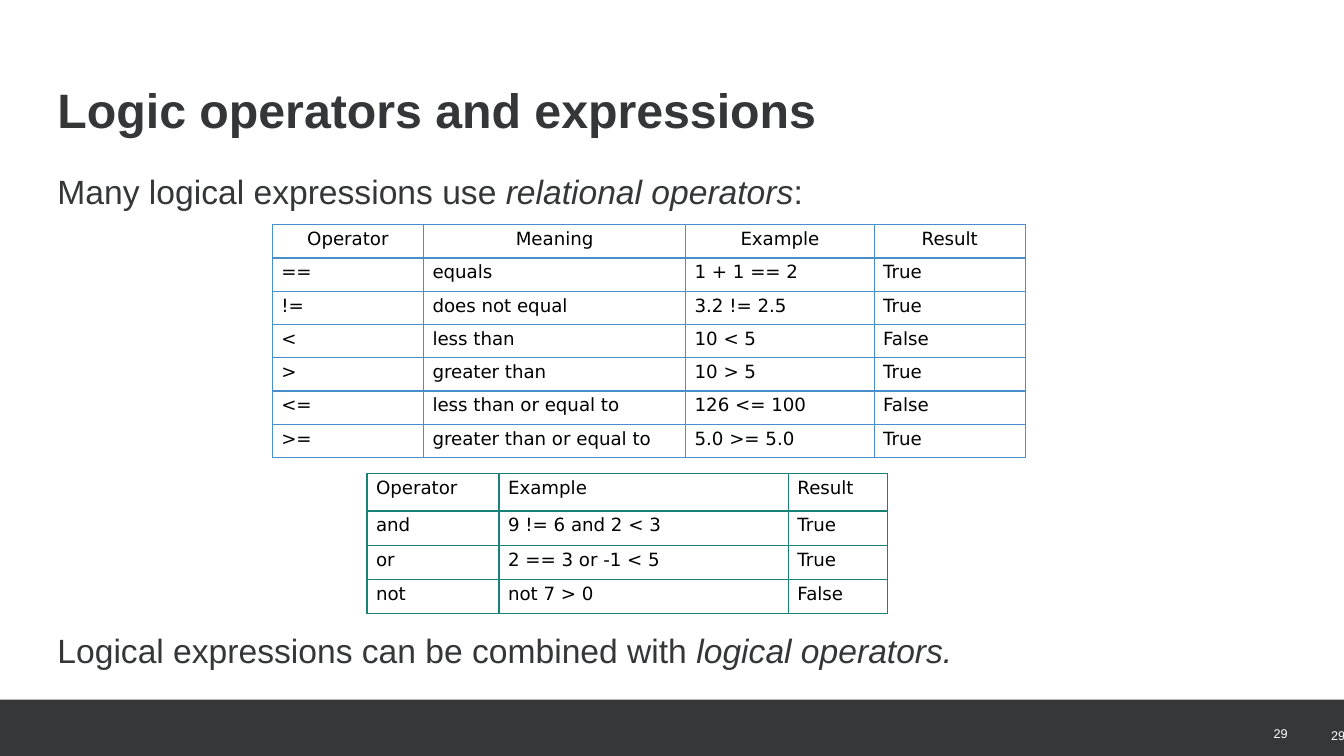
from lxml.etree import SubElement
from pptx import Presentation
from pptx.dml.color import RGBColor
from pptx.enum.shapes import MSO_SHAPE as Shape
from pptx.enum.text import MSO_ANCHOR as Anchor, MSO_AUTO_SIZE as Fit, PP_ALIGN as Align
from pptx.oxml import parse_xml
from pptx.oxml.ns import nsdecls, qn
from pptx.util import Inches, Pt

DARK = RGBColor(0x35, 0x36, 0x37)
BAR = RGBColor(0x36, 0x37, 0x38)
WHITE = RGBColor(0xFF, 0xFF, 0xFF)
BLACK = RGBColor(0, 0, 0)
BLUE = RGBColor(0x48, 0x8E, 0xCB)
TEAL = RGBColor(0x18, 0x81, 0x78)

RELATIONS = [
    ("Operator", "Meaning", "Example", "Result"),
    ("==", "equals", "1 + 1 == 2", "True"),
    ("!=", "does not equal", "3.2 != 2.5", "True"),
    ("<", "less than", "10 < 5", "False"),
    (">", "greater than", "10 > 5", "True"),
    ("<=", "less than or equal to", "126 <= 100", "False"),
    (">=", "greater than or equal to", "5.0 >= 5.0", "True"),
]
LOGIC = [
    ("Operator", "Example", "Result"),
    ("and", "9 != 6 and 2 < 3", "True"),
    ("or", "2 == 3 or -1 < 5", "True"),
    ("not", "not 7 > 0", "False"),
]


class Deck:
    text_font = "Arial"
    cell_font = "DejaVu Sans"

    def __init__(self, slide):
        self.slide = slide

    def style(self, font, size, color, name=None):
        font.name, font.size = name or self.text_font, Pt(size)
        font.color.rgb = color

    def frame(self, shape, left, top, width, height, anchor=Anchor.TOP, inset=0):
        """Place a shape and return its text frame, with only a top inset."""
        shape.left, shape.top = Inches(left), Inches(top)
        shape.width, shape.height = Inches(width), Inches(height)
        frame = shape.text_frame
        frame.margin_left = frame.margin_right = frame.margin_bottom = 0
        frame.margin_top = Inches(inset)
        frame.word_wrap, frame.auto_size = True, Fit.NONE
        frame.vertical_anchor = anchor
        return frame

    def title(self, text):
        frame = self.frame(self.slide.shapes.title, 0.57, 0.92, 10.94, 0.79)
        frame.text = text
        para = frame.paragraphs[0]
        para.alignment, para.line_spacing = Align.LEFT, Pt(32.5)
        self.style(para.runs[0].font, 34.5, DARK)
        para.runs[0].font.bold = True

    def body(self, lines, gap):
        """Write lines of (text, italic) parts, with a gap in points between lines."""
        frame = self.frame(self.slide.placeholders[1], 0.57, 1.38, 11.65, 5.51, inset=0.36)
        for i, parts in enumerate(lines):
            para = frame.add_paragraph() if i else frame.paragraphs[0]
            props = para._p.get_or_add_pPr()
            props.set("marL", "0")
            props.set("indent", "0")
            SubElement(props, qn("a:buNone"))
            para.line_spacing, para.space_after = 0.9, Pt(3.7)
            para.space_before = Pt(gap if i else 0)
            for text, italic in parts:
                run = para.add_run()
                run.text = text
                self.style(run.font, 24, DARK)
                run.font.italic = italic

    def bar(self, left, top, width, height):
        bar = self.slide.shapes.add_shape(
            Shape.RECTANGLE, Inches(left), Inches(top), Inches(width), Inches(height))
        bar.shadow.inherit = False
        bar.fill.solid()
        bar.fill.fore_color.rgb = BAR
        bar.line.fill.background()

    def number(self, text, left, top):
        box = self.slide.shapes.add_textbox(0, 0, 0, 0)
        frame = self.frame(box, left, top, 0.55, 0.55, Anchor.MIDDLE)
        frame.text = text
        para = frame.paragraphs[0]
        para.alignment, para.line_spacing = Align.RIGHT, Pt(19)
        self.style(para.runs[0].font, 9, WHITE)

    def border(self, cell, color):
        props = cell._tc.get_or_add_tcPr()
        for i, side in enumerate("LRTB"):
            props.insert(i, parse_xml(
                f'<a:ln{side} {nsdecls("a")} w="12700"><a:solidFill>'
                f'<a:srgbClr val="{color}"/></a:solidFill></a:ln{side}>'))

    def table(self, data, left, top, cols, rows, color, head=Align.LEFT):
        table = self.slide.shapes.add_table(
            len(data), len(cols), Inches(left), Inches(top),
            Inches(sum(cols)), Inches(sum(rows))).table
        table.first_row = table.horz_banding = False
        for col, width in zip(table.columns, cols):
            col.width = Inches(width)
        for r, (row, height) in enumerate(zip(table.rows, rows)):
            row.height = Inches(height)
            for cell, text in zip(row.cells, data[r]):
                cell.fill.background()
                self.border(cell, color)
                cell.margin_left = cell.margin_right = Inches(0.09)
                cell.margin_top = cell.margin_bottom = Inches(0.04)
                cell.text = text
                para = cell.text_frame.paragraphs[0]
                para.alignment = Align.LEFT if r else head
                self.style(para.runs[0].font, 13, BLACK, self.cell_font)


def main():
    prs = Presentation()
    prs.slide_width, prs.slide_height = Inches(13.33), Inches(7.5)
    deck = Deck(prs.slides.add_slide(prs.slide_layouts[1]))
    deck.bar(0, 6.94, 13.33, 0.56)
    deck.number("29", 12.22, 6.94)
    deck.title("Logic operators and expressions")
    deck.body([
        [("Many logical expressions use ", False), ("relational operators", True), (":", False)],
        [("Logical expressions can be combined with ", False), ("logical operators.", True)],
    ], gap=298)
    deck.number("29", 12.79, 6.96)
    deck.table(LOGIC, 3.64, 4.7, [1.31, 2.87, 0.98], [0.37] + [0.34] * 3, TEAL)
    deck.table(RELATIONS, 2.7, 2.23, [1.5, 2.6, 1.87, 1.5], [0.33] * 7, BLUE, Align.CENTER)
    prs.save("out.pptx")


if __name__ == "__main__":
    main()
